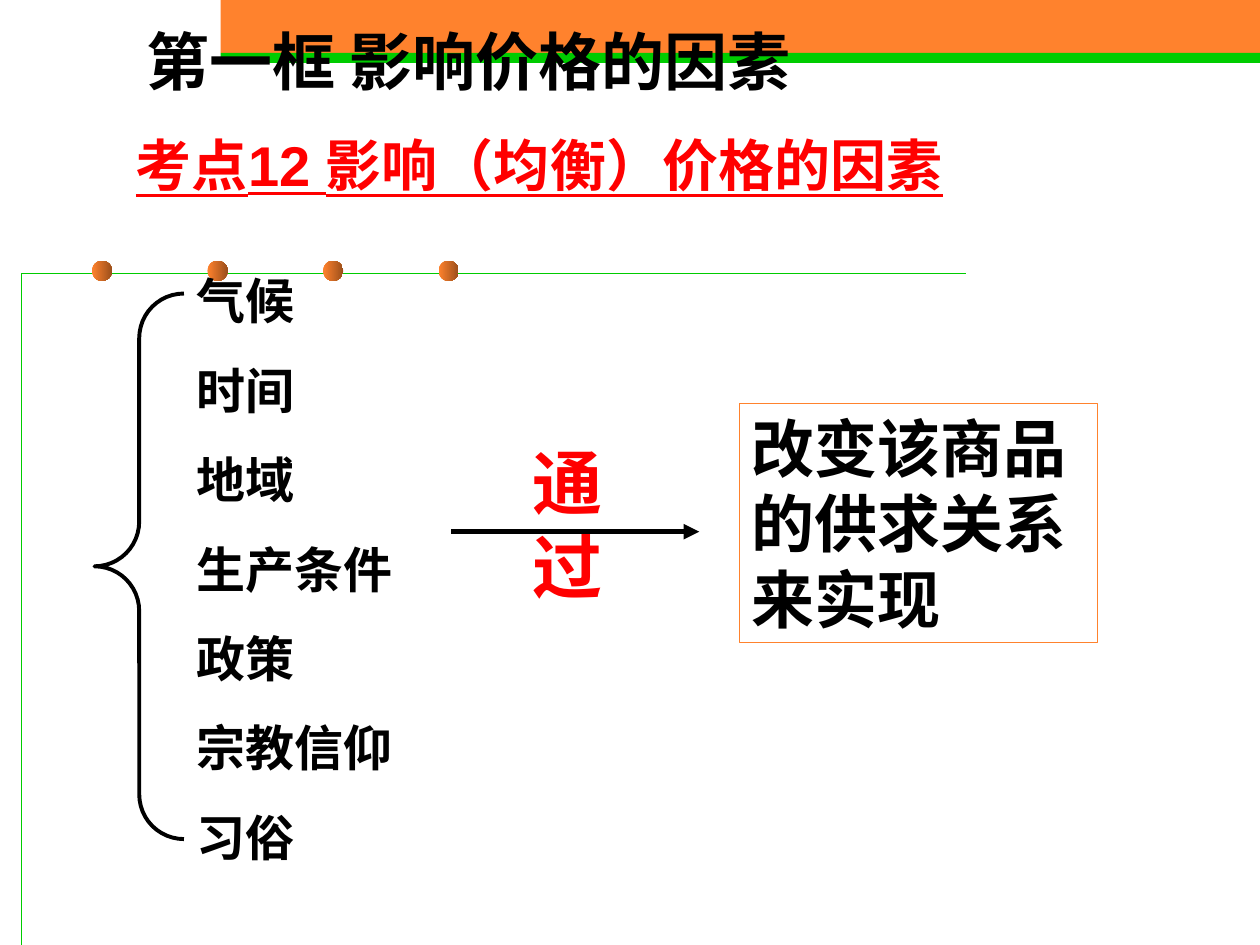
from lxml.etree import SubElement
from pptx import Presentation
from pptx.dml.color import RGBColor
from pptx.enum.shapes import MSO_CONNECTOR as Connector, MSO_SHAPE as Shape
from pptx.enum.text import MSO_ANCHOR as Anchor, MSO_AUTO_SIZE as AutoSize, PP_ALIGN as Align
from pptx.oxml.ns import qn
from pptx.util import Inches, Pt

ORANGE, GREEN, RED, BLACK = "FF822D", "00CC00", "FF0000", "000000"
FACTORS = ["气候", "时间", "地域", "生产条件", "政策", "宗教信仰", "习俗"]


def color(value):
    """Turn a hex string into a colour."""
    return RGBColor.from_string(value)


def set_line(shape, value, width):
    """Give a shape or connector a solid line."""
    shape.line.color.rgb = color(value)
    shape.line.width = Pt(width)


def add_shape(page, kind, left, top, width, height):
    """Add a preset shape with no shadow, fill or line."""
    shape = page.shapes.add_shape(kind, Inches(left), Inches(top), Inches(width), Inches(height))
    shape.shadow.inherit = False
    shape.fill.background()
    shape.line.fill.background()
    return shape


def add_bar(page, left, top, width, height, value):
    """Add a solid bar."""
    bar = add_shape(page, Shape.RECTANGLE, left, top, width, height)
    bar.fill.solid()
    bar.fill.fore_color.rgb = color(value)


def add_bead(page, left, top, size):
    """Add a round bead shaded from left to right."""
    bead = add_shape(page, Shape.OVAL, left, top, size, size)
    bead.fill.gradient()
    bead.fill.gradient_angle = 0
    for stop, position, value in zip(bead.fill.gradient_stops, (0, 1), (ORANGE, "9B4F1B")):
        stop.position = position
        stop.color.rgb = color(value)


def add_corner(page):
    """Add the thin green corner line."""
    builder = page.shapes.build_freeform(Inches(0.17), Inches(7.5))
    builder.add_line_segments(
        [(Inches(0.17), Inches(2.17)), (Inches(7.67), Inches(2.17))], close=False)
    corner = builder.convert_to_shape()
    corner.shadow.inherit = False
    corner.fill.background()
    set_line(corner, GREEN, 0.75)


def add_brace(page):
    """Add the brace that gathers the factors."""
    brace = add_shape(page, Shape.LEFT_BRACE, 0.75, 2.33, 0.71, 4.33)
    brace.adjustments[0] = 0.5
    set_line(brace, BLACK, 2.25)


def add_arrow(page, left, right, y):
    """Add a horizontal arrow."""
    arrow = page.shapes.add_connector(
        Connector.STRAIGHT, Inches(left), Inches(y), Inches(right), Inches(y))
    set_line(arrow, BLACK, 3)
    SubElement(arrow.line._get_or_add_ln(), qn("a:tailEnd"), type="triangle")
    SubElement(arrow.element.spPr, qn("a:effectLst"))


def write(shape, lines, size, value, underline=None, gap=0):
    """Write bold left-aligned paragraphs into a shape."""
    frame = shape.text_frame
    frame.word_wrap = True
    frame.auto_size = AutoSize.SHAPE_TO_FIT_TEXT
    frame.vertical_anchor = Anchor.TOP
    for index, line in enumerate(lines):
        para = frame.add_paragraph() if index else frame.paragraphs[0]
        para.alignment = Align.LEFT
        if index:
            para.space_before = Pt(gap)
        span = para.add_run()
        span.text = line
        font = span.font
        font.name, font.size, font.bold, font.underline = "Arial", Pt(size), True, underline
        font.color.rgb = color(value)


def add_text(page, left, top, width, height, *args, **kwargs):
    """Add a text box and write into it."""
    box = page.shapes.add_textbox(Inches(left), Inches(top), Inches(width), Inches(height))
    write(box, *args, **kwargs)


def place_title(page, text):
    """Place the title in front of the bars."""
    title = page.shapes.title
    title.left, title.top = Inches(1.06), Inches(0.13)
    title.width, title.height = Inches(7.48), Inches(0.7)
    write(title, [text], 36, BLACK)
    title.element.getparent().append(title.element)


def main():
    """Build the slide."""
    deck = Presentation()
    deck.slide_width, deck.slide_height = Inches(10), Inches(7.5)
    page = deck.slides.add_slide(deck.slide_layouts[5])
    add_bar(page, 1.75, 0, 8.25, 0.42, ORANGE)
    add_bar(page, 1.75, 0.42, 8.25, 0.08, GREEN)
    add_corner(page)
    for index in range(4):
        add_bead(page, 0.73 + index * 0.917, 2.07, 0.16)
    add_text(page, 0.98, 0.99, 7.32, 0.64, ["考点12 影响（均衡）价格的因素"], 32, RED, underline=True)
    place_title(page, "第一框 影响价格的因素")
    add_brace(page)
    add_text(page, 1.46, 2.1, 4.49, 4.83, FACTORS, 28, BLACK, gap=17.5)
    add_arrow(page, 3.58, 5.55, 4.22)
    result = add_shape(page, Shape.RECTANGLE, 5.87, 3.2, 2.84, 1.9)
    set_line(result, ORANGE, 0.75)
    write(result, ["改变该商品的供求关系来实现"], 36, BLACK)
    add_text(page, 4.13, 3.44, 0.79, 1.44, ["通过"], 40, RED)
    deck.save("out.pptx")


if __name__ == "__main__":
    main()
